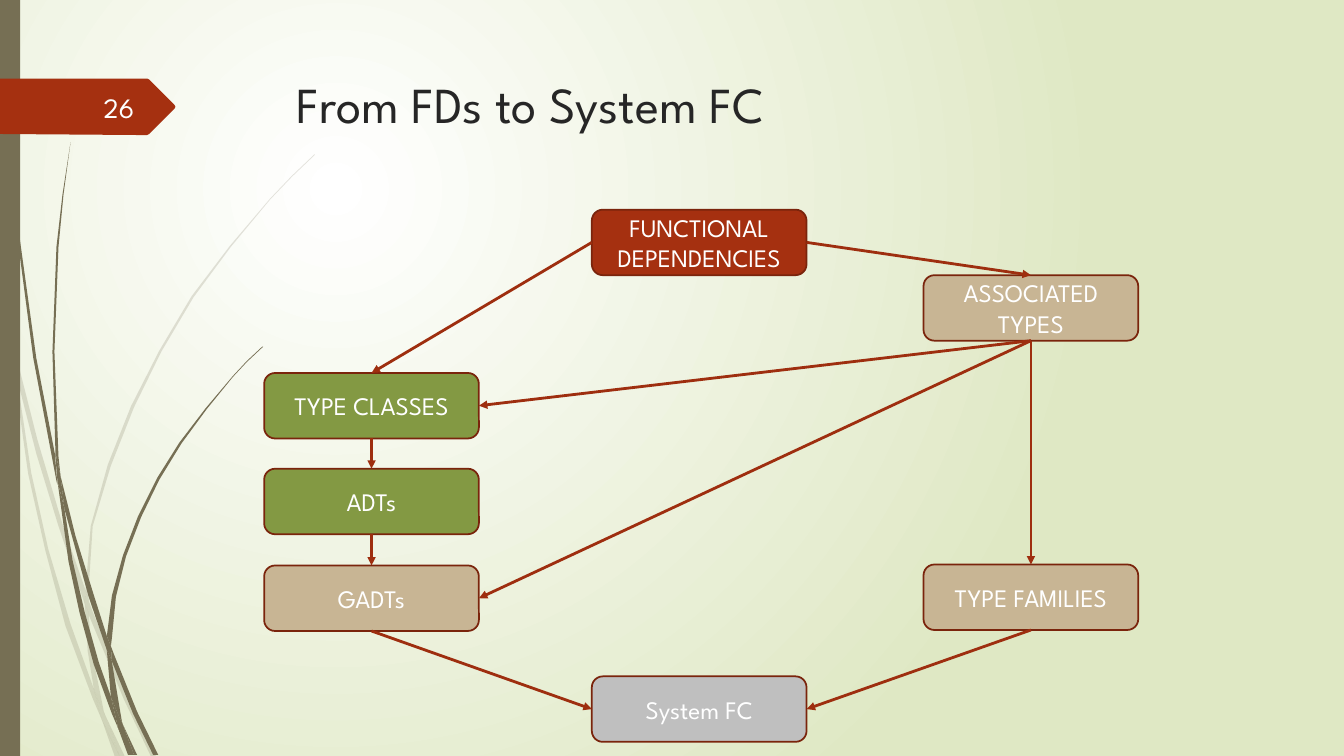
from dataclasses import dataclass

from lxml.etree import SubElement
from pptx import Presentation
from pptx.dml.color import RGBColor
from pptx.enum.shapes import MSO_CONNECTOR, MSO_SHAPE
from pptx.enum.text import MSO_ANCHOR, MSO_AUTO_SIZE, PP_ALIGN
from pptx.oxml.ns import qn
from pptx.util import Emu, Pt

PX = 9144


@dataclass(frozen=True)
class Theme:
    """Colours, font and type sizes of the deck."""
    font: str = "League Spartan"
    title_size: int = 36
    number_size: int = 20
    label_size: int = 18
    ink: str = "262626"
    white: str = "FFFFFF"
    number: str = "FEFFFF"
    glow: str = "DFE8C4"
    wisp: str = "766F54"
    red: str = "A53010"
    green: str = "839943"
    tan: str = "C8B594"
    grey: str = "BFBFBF"
    edge: str = "7A240C"
    arrow: str = "9E2E0F"


THEME = Theme()

PALE_WISPS = [
    [(11, 350), (9, 322), (0, 282), (0, 299), (10, 344)],
    [(58, 522), (84, 599), (85, 586), (62, 520), (37, 436), (14, 345), (17, 376), (36, 450)],
    [(92, 607), (88, 596), (88, 610), (123, 694), (150, 751), (155, 751), (127, 692)],
    [(119, 751), (124, 751), (105, 711)],
    [(93, 683), (70, 619), (48, 545), (31, 469), (17, 376), (11, 350), (28, 470), (45, 546),
     (65, 621), (92, 693), (101, 714), (99, 707)],
    [(84, 599), (87, 646), (93, 683), (96, 692), (105, 711), (103, 706), (91, 646), (88, 610),
     (88, 608)],
    [(88, 584), (92, 522), (110, 462), (133, 404), (160, 349), (192, 295), (229, 245),
     (268, 198), (290, 175), (312, 154), (312, 153), (289, 175), (268, 197), (228, 244),
     (190, 294), (158, 348), (130, 403), (107, 461), (90, 522), (85, 584), (85, 586), (88, 596)],
    [(101, 714), (114, 751), (119, 751)],
    [(88, 608), (88, 610), (88, 596), (85, 586), (84, 599)],
    [(96, 692), (93, 683), (99, 707), (101, 714), (119, 751), (105, 711)],
]

DARK_WISPS = [
    [(7, 110), (17, 233), (33, 355), (56, 477), (57, 481), (55, 457), (55, 453), (36, 355),
     (19, 232), (8, 109), (5, 48), (4, 0), (3, 0), (4, 48)],
    [(88, 592), (106, 645), (106, 631), (93, 590), (75, 532), (60, 472), (64, 505)],
    [(113, 649), (110, 641), (111, 656), (132, 708), (152, 749), (157, 749), (136, 706)],
    [(110, 691), (98, 657), (84, 607), (72, 556), (64, 505), (57, 477), (68, 557), (79, 608),
     (93, 659), (111, 708), (117, 722), (116, 717)],
    [(60, 472), (58, 453), (54, 349), (58, 245), (63, 193), (70, 141), (62, 193), (56, 245),
     (52, 349), (55, 449)],
    [(133, 749), (136, 749), (122, 719)],
    [(57, 477), (64, 505), (60, 472), (55, 449), (55, 453)],
    [(111, 633), (115, 592), (125, 552), (140, 513), (158, 476), (180, 440), (205, 406),
     (231, 374), (245, 359), (261, 344), (260, 344), (245, 358), (231, 373), (204, 405),
     (178, 439), (156, 474), (137, 512), (122, 551), (111, 591), (106, 631), (110, 641)],
    [(117, 722), (127, 749), (131, 749)],
    [(106, 645), (110, 691), (116, 706), (122, 719), (121, 716), (111, 656), (109, 651)],
    [(106, 645), (109, 651), (111, 656), (110, 641), (106, 631)],
    [(116, 706), (110, 691), (116, 717), (117, 722), (130, 749), (133, 749), (122, 719)],
]

NUMBER_TAG = [(173, 108), (148, 133), (146, 134), (136, 134), (0, 133), (0, 78), (146, 78),
              (148, 79), (173, 104), (174, 106)]

NODES = {
    "TYPE CLASSES": (262, 370, THEME.green),
    "ASSOCIATED\vTYPES": (916, 273, THEME.tan),
    "FUNCTIONAL\vDEPENDENCIES": (587, 208, THEME.red),
    "ADTs": (262, 465, THEME.green),
    "GADTs": (262, 561, THEME.tan),
    "System FC": (587, 671, THEME.grey),
    "TYPE FAMILIES": (916, 560, THEME.tan),
}

TOP, LEFT, BOTTOM, RIGHT = range(4)
LINKS = [
    ("FUNCTIONAL\vDEPENDENCIES", LEFT, "TYPE CLASSES", TOP),
    ("TYPE CLASSES", BOTTOM, "ADTs", TOP),
    ("ADTs", BOTTOM, "GADTs", TOP),
    ("ASSOCIATED\vTYPES", BOTTOM, "TYPE FAMILIES", TOP),
    ("TYPE FAMILIES", BOTTOM, "System FC", RIGHT),
    ("GADTs", BOTTOM, "System FC", LEFT),
    ("ASSOCIATED\vTYPES", BOTTOM, "TYPE CLASSES", RIGHT),
    ("ASSOCIATED\vTYPES", BOTTOM, "GADTs", RIGHT),
    ("FUNCTIONAL\vDEPENDENCIES", RIGHT, "ASSOCIATED\vTYPES", TOP),
]


def scaled(*lengths):
    """Turn px lengths into EMU."""
    return [Emu(length * PX) for length in lengths]


def paint(shape, colour, edge=None):
    """Give a shape a flat fill and an optional edge."""
    shape.shadow.inherit = False
    shape.fill.solid()
    shape.fill.fore_color.rgb = RGBColor.from_string(colour)
    if edge:
        shape.line.color.rgb = RGBColor.from_string(edge)
        shape.line.width = Pt(1.25)
    else:
        shape.line.fill.background()


def write(shape, text, size, colour, align, anchor):
    """Set and format the text of a shape."""
    frame = shape.text_frame
    frame_format = {"word_wrap": True, "auto_size": MSO_AUTO_SIZE.NONE, "vertical_anchor": anchor}
    for name, value in frame_format.items():
        setattr(frame, name, value)
    para = frame.paragraphs[0]
    para.text = text
    para.alignment = align
    for span in para.runs:
        for name, value in {"name": THEME.font, "size": Pt(size)}.items():
            setattr(span.font, name, value)
        span.font.color.rgb = RGBColor.from_string(colour)


def draw_outline(page, points, colour, opacity=100):
    """Draw a closed filled outline."""
    builder = page.shapes.build_freeform(*points[0], scale=PX)
    builder.add_line_segments(points[1:], close=True)
    shape = builder.convert_to_shape()
    paint(shape, colour)
    if opacity < 100:
        tone = shape.fill._xPr.find(".//" + qn("a:srgbClr"))
        SubElement(tone, qn("a:alpha"), val=str(opacity * 1000))


def draw_background(page):
    """Fill the page with a round glow in its upper left quarter."""
    fill = page.background.fill
    fill.gradient()
    for stop, colour, position in zip(fill.gradient_stops, (THEME.white, THEME.glow), (0, 1)):
        stop.color.rgb = RGBColor.from_string(colour)
        stop.position = position
    gradient = page.background._cSld.find(".//" + qn("a:gradFill"))
    gradient.remove(gradient.find(qn("a:lin")))
    circle = SubElement(gradient, qn("a:path"), path="circle")
    SubElement(circle, qn("a:fillToRect"), l="50000", t="50000", r="100000", b="100000")


def draw_margin(page, box):
    """Draw the wisps, the side bar and the page number tag."""
    for outlines, opacity in ((PALE_WISPS, 20), (DARK_WISPS, 100)):
        for points in outlines:
            draw_outline(page, points, THEME.wisp, opacity)
    paint(page.shapes.add_shape(MSO_SHAPE.RECTANGLE, *scaled(*box)), THEME.wisp)
    draw_outline(page, NUMBER_TAG, THEME.red)
    left, top = box[:2]
    number = page.shapes.add_textbox(*scaled(left + 58, top + 86, 85, 40))
    write(number, "26", THEME.number_size, THEME.number, PP_ALIGN.RIGHT, MSO_ANCHOR.MIDDLE)


def place_title(page, box):
    """Place the title placeholder in its box."""
    title = page.shapes.title
    for name, value in zip(("left", "top", "width", "height"), scaled(*box)):
        setattr(title, name, value)
    write(title, "From FDs to System FC", THEME.title_size, THEME.ink, PP_ALIGN.LEFT,
          MSO_ANCHOR.TOP)


def draw_link(page, source, source_side, target, target_side):
    """Join two nodes with an arrow."""
    link = page.shapes.add_connector(MSO_CONNECTOR.STRAIGHT, 0, 0, 0, 0)
    link.begin_connect(source, source_side)
    link.end_connect(target, target_side)
    link.line.color.rgb = RGBColor.from_string(THEME.arrow)
    link.line.width = Pt(2)
    SubElement(link.line._get_or_add_ln(), qn("a:tailEnd"), type="triangle")
    SubElement(link._element.spPr, qn("a:effectLst"))


def draw_diagram(page, node_size):
    """Draw the nodes and the arrows between them."""
    nodes = {}
    for label, (left, top, colour) in NODES.items():
        node = page.shapes.add_shape(MSO_SHAPE.ROUNDED_RECTANGLE, *scaled(left, top, *node_size))
        paint(node, colour, THEME.edge)
        write(node, label, THEME.label_size, THEME.white, PP_ALIGN.CENTER, MSO_ANCHOR.MIDDLE)
        nodes[label] = node
    for source, source_side, target, target_side in LINKS:
        draw_link(page, nodes[source], source_side, nodes[target], target_side)


def main():
    """Build the deck and save it."""
    deck = Presentation()
    deck.slide_width, deck.slide_height = scaled(1333, 750)
    page = deck.slides.add_slide(deck.slide_layouts[5])
    draw_background(page)
    draw_margin(page, (0, 0, 20, 750))
    place_title(page, (284, 68, 975, 140))
    draw_diagram(page, (213, 65))
    deck.save("out.pptx")


if __name__ == "__main__":
    main()
